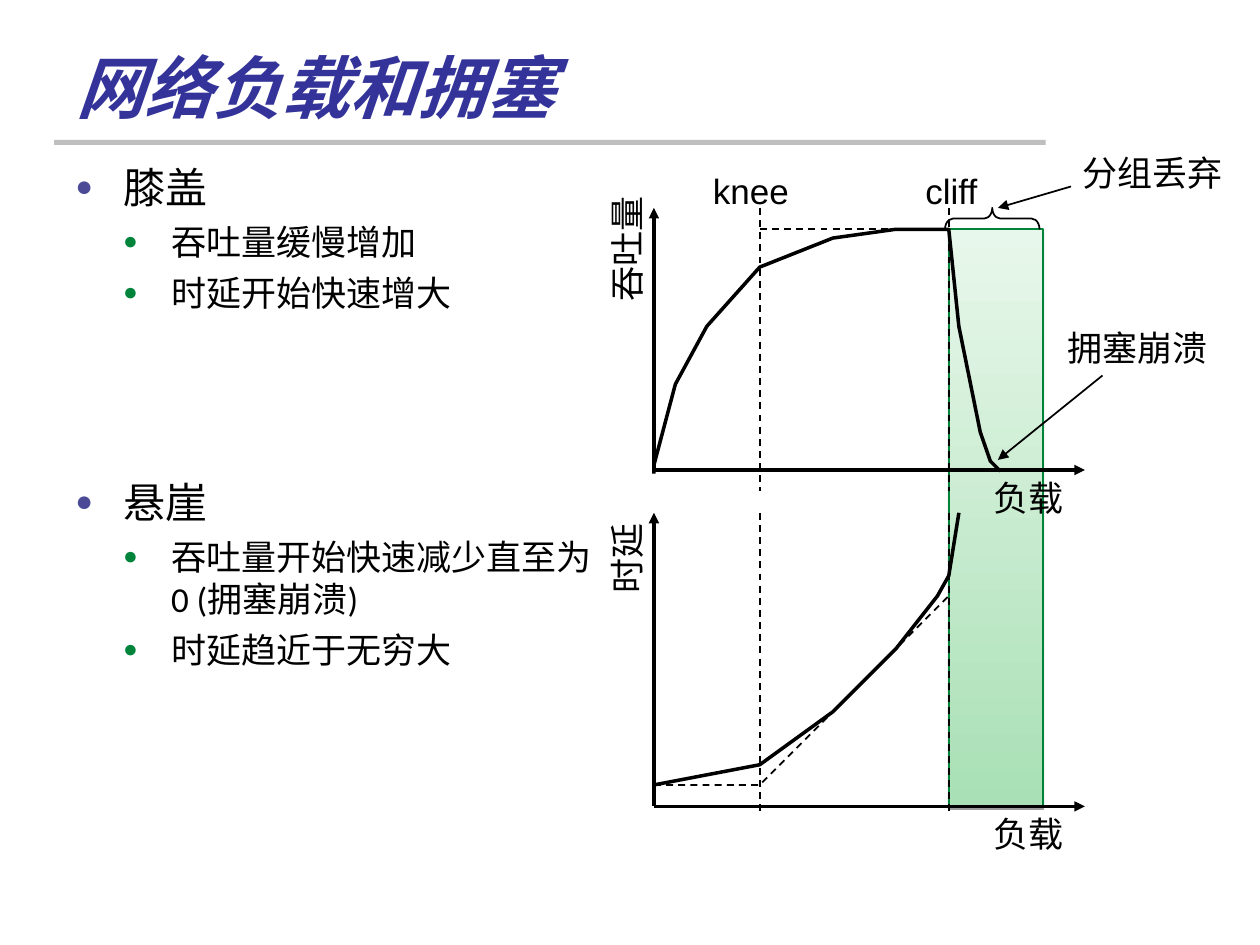
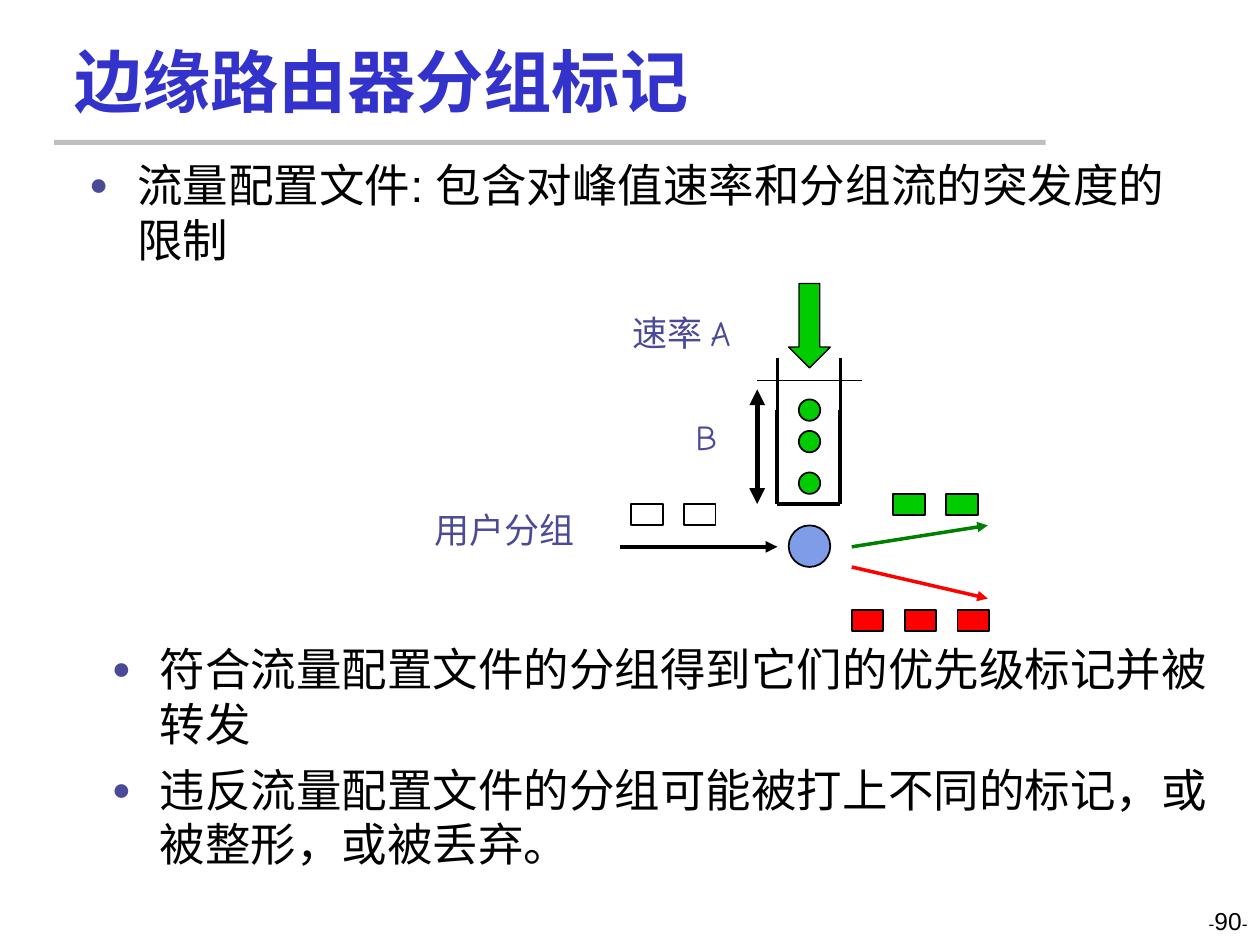
import dataclasses

import pptx
import pptx.dml.color
import pptx.enum.dml
import pptx.enum.shapes
import pptx.enum.text
import pptx.oxml
import pptx.oxml.ns
import pptx.util
from pptx.util import Inches

BLACK, WHITE, GREEN, RED = "000000", "FFFFFF", "00CC00", "FF0000"
VIOLET, DEEP_GREEN = "4A4A97", "00843C"
SHAPE = pptx.enum.shapes.MSO_SHAPE
ALIGN = pptx.enum.text.PP_ALIGN
ANCHOR = pptx.enum.text.MSO_ANCHOR
KNEE, CLIFF = 0.84, 2.34  # distance from the vertical axis
AXIS_WIDTH = 3.42


def rgb(value):
    return pptx.dml.color.RGBColor.from_string(value)


def add_xml(parent, tag, inner="", **attributes):
    listed = " ".join(f'{name}="{value}"' for name, value in attributes.items())
    parent.append(pptx.oxml.parse_xml(
        f'<a:{tag} {pptx.oxml.ns.nsdecls("a")} {listed}>{inner}</a:{tag}>'))


def style_line(line, color, width, dashed=False):
    line.color.rgb = rgb(color)
    line.width = pptx.util.Pt(width)
    if dashed:
        line.dash_style = pptx.enum.dml.MSO_LINE.DASH


def add_span(para, words, size, font, color=BLACK, bold=None, italic=None):
    span = para.add_run()
    span.text = words
    span.font.size = pptx.util.Pt(size)
    span.font.name = font
    span.font.color.rgb = rgb(color)
    span.font.bold, span.font.italic = bold, italic


@dataclasses.dataclass
class Area:
    """Part of a page; everything is placed from its top left corner."""
    page: object
    left: float = 0
    top: float = 0

    def place(self, x, y):
        return Inches(self.left + x), Inches(self.top + y)

    def text_box(self, x, y, width, height, wrap=True, anchor=ANCHOR.TOP):
        box = self.page.shapes.add_textbox(*self.place(x, y), Inches(width), Inches(height))
        box.text_frame.word_wrap = wrap
        box.text_frame.vertical_anchor = anchor
        return box

    def label(self, words, x, y, width, rotation=0):
        """One centred line of text."""
        box = self.text_box(x, y, width, 0.43, wrap=False)
        box.rotation = rotation
        box.text_frame.margin_left = box.text_frame.margin_right = 0
        para = box.text_frame.paragraphs[0]
        para.alignment = ALIGN.CENTER
        add_span(para, words, 20, "Arial")

    def note(self, words, x, y, width):
        box = self.text_box(x, y, width, 0.44)
        add_span(box.text_frame.paragraphs[0], words, 20, "Comic Neue", VIOLET)

    def shape(self, kind, x, y, width, height, fill=None, line=BLACK, line_width=1):
        item = self.page.shapes.add_shape(
            kind, *self.place(x, y), Inches(width), Inches(height))
        item.shadow.inherit = False
        if fill:
            item.fill.solid()
            item.fill.fore_color.rgb = rgb(fill)
        else:
            item.fill.background()
        if line:
            style_line(item.line, line, line_width)
        else:
            item.line.fill.background()
        return item

    def line(self, start, end, width=1, color=BLACK, dashed=False, arrows=()):
        item = self.page.shapes.add_connector(
            pptx.enum.shapes.MSO_CONNECTOR.STRAIGHT, *self.place(*start), *self.place(*end))
        style_line(item.line, color, width, dashed)
        for end_name in arrows:
            add_xml(item.line._get_or_add_ln(), end_name, type="triangle")
        add_xml(item._element.spPr, "effectLst")

    def curve(self, points, width=2, dashed=False):
        points = [self.place(*point) for point in points]
        builder = self.page.shapes.build_freeform(*points[0], scale=1.0)
        builder.add_line_segments(points[1:], close=False)
        item = builder.convert_to_shape()
        item.shadow.inherit = False
        item.fill.background()
        style_line(item.line, BLACK, width, dashed)


def add_page(deck):
    page = deck.slides.add_slide(deck.slide_layouts[6])
    Area(page).shape(SHAPE.RECTANGLE, 0.43, 1.11, 7.87, 0.04, "BFBFBF", line=None)
    return page


def add_title(area, words, height, anchor, font, color, italic=None):
    box = area.text_box(0, 0, 8.5, height, anchor=anchor)
    add_span(box.text_frame.paragraphs[0], words, 39, font, color, True, italic)


def add_bullets(area, width, height, items, font):
    """Fill a box with (level, size, words) items."""
    frame = area.text_box(0, 0, width, height).text_frame
    for index, (level, size, words) in enumerate(items):
        para = frame.add_paragraph() if index else frame.paragraphs[0]
        para.level = level
        if index:
            para.space_before = pptx.util.Pt(size / 4)
        properties = para._p.get_or_add_pPr()
        properties.set("marL", str(Inches(0.38 * (level + 1))))
        properties.set("indent", str(-Inches(0.38)))
        color = DEEP_GREEN if level else VIOLET
        add_xml(properties, "buClr", f'<a:srgbClr val="{color}"/>')
        add_xml(properties, "buSzPct", val=70000)
        add_xml(properties, "buFont", typeface="Arial")
        add_xml(properties, "buChar", char="●")
        add_span(para, words, size, font)


def add_plot(area, height, guide, name, name_y, name_width, points):
    """Axes, curve, and the knee and cliff guides of one plot."""
    origin = (0, height)
    for end in ((0, 0), (AXIS_WIDTH, height)):
        area.line(origin, end, 2, arrows=["tailEnd"])
    area.curve(points)
    for x in (KNEE, CLIFF):
        area.line((x, 0), (x, guide), dashed=True)
    area.label("负载", 2.59, height, 0.76)
    area.label(name, -0.22 - name_width / 2, name_y, name_width, rotation=270)


def add_collapse_band(area, width, height):
    band = area.shape(SHAPE.RECTANGLE, 0, 0, width, height, line="00843A")
    band.fill.gradient()
    band.fill.gradient_angle = 90
    for stop, color in zip(band.fill.gradient_stops, ("A9E0B5", "E8F7EB")):
        stop.color.rgb = rgb(color)
    effects = band._element.spPr.find(pptx.oxml.ns.qn("a:effectLst"))
    add_xml(effects, "outerShdw",
            '<a:srgbClr val="000000"><a:alpha val="38000"/></a:srgbClr>',
            blurRad=0, dist=pptx.util.Pt(1.6), dir=90 * 60000, rotWithShape=0)


def add_load_plots(page, left):
    add_collapse_band(Area(page, left + CLIFF, 1.82), 0.75, 4.58)

    throughput = Area(page, left, 1.65)
    add_plot(throughput, 2.08, 2.25, "吞吐量", 0.11, 1.03, [
        (0, 2.11), (0, 2.04), (0.17, 1.4), (0.42, 0.94), (KNEE, 0.47), (1.42, 0.24),
        (1.92, 0.17), (CLIFF, 0.17), (2.42, 0.94), (2.59, 1.78), (2.67, 2.01), (2.75, 2.09)])
    throughput.line((KNEE, 0.17), (CLIFF, 0.17), dashed=True)
    throughput.label("knee", 0.37, -0.35, 0.8)
    throughput.label("cliff", 2.05, -0.35, 0.62)
    brace = throughput.shape(SHAPE.LEFT_BRACE, 2.6, -0.29, 0.17, 0.75)
    brace.rotation = 90
    brace.adjustments[0] = 0.37
    for words, x, y, start, end in (
            ("拥塞崩溃", 3.18, 0.89, (3.56, 1.33), (2.73, 2)),
            ("分组丢弃", 3.3, -0.5, (3.31, -0.17), (2.73, 0))):
        throughput.label(words, x, y, 1.31)
        throughput.line(start, end, arrows=["tailEnd"])

    delay = Area(page, left, 4.07)
    add_plot(delay, 2.33, 2.41, "时延", 0.15, 0.76, [
        (0, 2.16), (KNEE, 2), (1.42, 1.58), (1.92, 1.08), (2.25, 0.66),
        (CLIFF, 0.5), (2.42, 0)])
    delay.curve([(0, 2.16), (KNEE, 2.16), (CLIFF, 0.66)], 1, dashed=True)


def add_packets(area, x, y, count, fill):
    for index in range(count):
        area.shape(SHAPE.RECTANGLE, x + 0.42 * index, y, 0.25, 0.17, fill)


def add_token_bucket(area):
    """Tokens drop into the bucket and decide how user packets are marked."""
    for x in (1.25, 1.75):
        area.line((x, 0.59), (x, 1), 2)
        area.line((x, 1), (x, 1.75), 2.25)
    area.line((1.25, 1.75), (1.75, 1.75), 2.25)
    area.line((1.09, 0.77), (1.92, 0.77), 0.75)
    area.shape(SHAPE.DOWN_ARROW, 1.34, 0, 0.33, 0.67, GREEN, line_width=0.75)
    for y in (0.92, 1.17, 1.5):
        area.shape(SHAPE.OVAL, 1.42, y, 0.17, 0.17, GREEN)
    area.line((1.09, 0.84), (1.09, 1.75), 3, arrows=["headEnd", "tailEnd"])

    area.shape(SHAPE.OVAL, 1.34, 1.92, 0.33, 0.33, "7E9CE8")
    for start, end, width, color in (
            ((0, 2.09), (1.25, 2.09), 2.25, BLACK),
            ((1.84, 2.25), (2.92, 2.5), 2, RED),
            ((1.84, 2.09), (2.92, 1.92), 2, "008000")):
        area.line(start, end, width, color, arrows=["tailEnd"])
    add_packets(area, 0.09, 1.75, 2, WHITE)
    add_packets(area, 2.17, 1.67, 2, GREEN)
    add_packets(area, 1.84, 2.59, 3, RED)

    area.note("速率 A", 0, 0.17, 1.25)
    area.note("B", 0.5, 1, 0.38)
    area.note("用户分组", -1.57, 1.74, 2.33)


def add_page_number(area, number):
    para = area.text_box(0, 0, 2.33, 0.5).text_frame.paragraphs[0]
    para.alignment = ALIGN.RIGHT
    for words, size in (("-", 10), (number, 14), ("-", 10)):
        add_span(para, words, size, "Arial")


def build_congestion_page(deck):
    page = add_page(deck)
    add_title(Area(page, 0.51, 0.28), "网络负载和拥塞", 0.78, ANCHOR.BOTTOM,
              "Calibri", "333399", italic=True)
    for top, heading, details in (
            (1.23, "膝盖", ("吞吐量缓慢增加", "时延开始快速增大")),
            (3.73, "悬崖", ("吞吐量开始快速减少直至为0 (拥塞崩溃)", "时延趋近于无穷大"))):
        items = [(0, 24, heading)] + [(1, 20, words) for words in details]
        add_bullets(Area(page, 0.5, top), 4.34, 2.2, items, "Calibri")
    add_load_plots(page, 5.19)


def build_marking_page(deck):
    page = add_page(deck)
    add_title(Area(page, 0.49, 0.26), "边缘路由器分组标记", 0.75, ANCHOR.MIDDLE,
              "Arial", "3333CC")
    add_bullets(Area(page, 0.61, 1.2), 8.75, 1, [
        (0, 26, "流量配置文件: 包含对峰值速率和分组流的突发度的限制")], "Arial")
    add_token_bucket(Area(page, 4.92, 2.25))
    add_bullets(Area(page, 0.79, 5.04), 9, 2, [
        (0, 26, "符合流量配置文件的分组得到它们的优先级标记并被转发"),
        (0, 26, "违反流量配置文件的分组可能被打上不同的标记，或被整形，或被丢弃。")], "Arial")
    add_page_number(Area(page, 7.67, 7.14), "90")


def main():
    deck = pptx.Presentation()
    deck.slide_width, deck.slide_height = Inches(10), Inches(7.5)
    build_congestion_page(deck)
    build_marking_page(deck)
    deck.save("out.pptx")


if __name__ == "__main__":
    main()
